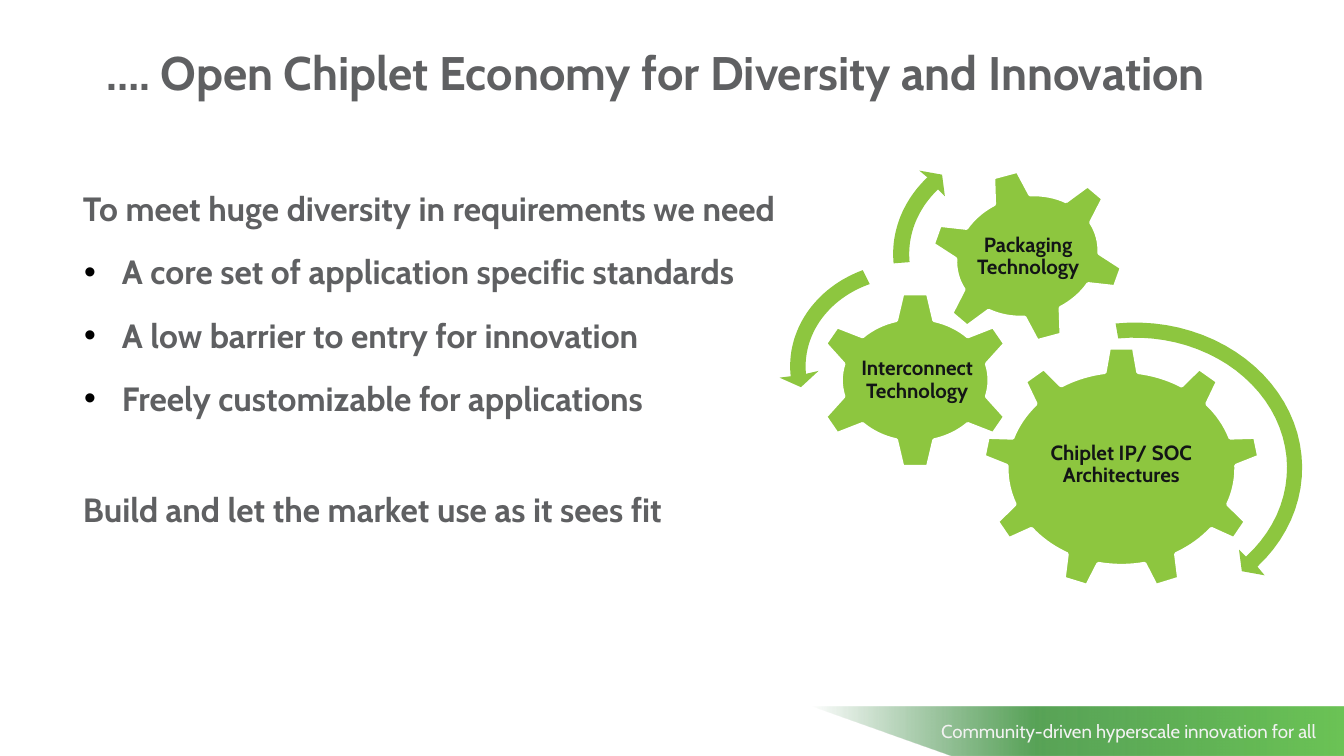
import math
from lxml import etree
from pptx import Presentation
from pptx.dml.color import RGBColor
from pptx.enum.shapes import MSO_SHAPE
from pptx.enum.text import MSO_ANCHOR, MSO_AUTO_SIZE, PP_ALIGN
from pptx.oxml.ns import qn
from pptx.util import Pt

LEFT, CENTER, RIGHT = PP_ALIGN.LEFT, PP_ALIGN.CENTER, PP_ALIGN.RIGHT
TOP, MIDDLE = MSO_ANCHOR.TOP, MSO_ANCHOR.MIDDLE
GEAR_6, GEAR_9 = MSO_SHAPE.GEAR_6, MSO_SHAPE.GEAR_9

FONT = "Cabin"
WHITE = RGBColor(0xFF, 0xFF, 0xFF)
GREY = RGBColor(0x5F, 0x60, 0x62)
INK = RGBColor(0x13, 0x15, 0x16)
GREEN = RGBColor(0x8D, 0xC6, 0x3F)
PALE = RGBColor(0xF2, 0xF2, 0xF2)

# Content (lengths in points)
TITLE = "…. Open Chiplet Economy for Diversity and Innovation"
FOOTER = "Community-driven hyperscale innovation for all"

# text, bulleted, space before
BODY = [
    ("To meet huge diversity in requirements we need", False, 0),
    ("A core set of application specific standards", True, 8),
    ("A low barrier to entry for innovation", True, 8),
    ("Freely customizable for applications", True, 8),
    ("Build and let the market use as it sees fit", False, 33.5),
]

# preset, frame, rotation, label, label frame
GEARS = [
    (GEAR_9, (526.3, 185.8, 149, 130.3), 0,
     "Chiplet IP/ SOC Architectures", (555.8, 216, 89.3, 67)),
    (GEAR_6, (436.3, 156.2, 108, 95), 0,
     "Interconnect Technology", (460.1, 180.7, 61.9, 46.8)),
    (GEAR_6, (497.5, 90.7, 105.8, 92.9), -15,
     "Packaging Technology", (520.6, 111.6, 59.8, 52.6)),
]

# centre, outer radii, band width, outer start and end, head, inner end and start
ARROWS = [
    ((608, 250.6), (89.6, 77.8), 8.1, (597.6, 172.8), (673.9, 303.8),
     [(677.5, 308.2), (665.3, 306), (663.8, 294.5)], (667.4, 298.1), (599, 180.7)),
    ((486.7, 196.2), (63.4, 55.8), 8.3, (462.2, 144.7), (423.4, 201.6),
     [(417.6, 202.3), (429.1, 207.4), (438.5, 198.7)], (432.7, 200.2), (465.8, 151.9)),
    ((547.6, 136.1), (69.1, 60.5), 8.6, (478.8, 141.1), (496.8, 95),
     [(492.5, 91.4), (504.7, 93.6), (506.2, 105.1)], (502.6, 101.5), (488.2, 140.4)),
]

BAND = [(434.9, 378.4), (720, 378.4), (720, 405), (637.2, 405), (509.8, 405)]
# position %, colour, opacity %
BAND_STOPS = [(0, "0F691F", 0), (42, "308D2F", 80), (99, "5CBD44", 90)]


def frame_text(sp, anchor, insets):
    tf = sp.text_frame
    tf.word_wrap = True
    tf.auto_size = MSO_AUTO_SIZE.NONE
    tf.vertical_anchor = anchor
    (tf.margin_left, tf.margin_top,
     tf.margin_right, tf.margin_bottom) = map(Pt, insets)
    return tf


def write(p, text, size, color, bold, align=LEFT, spacing=1.0):
    p.alignment = align
    p.line_spacing = spacing
    r = p.add_run()
    r.text = text
    r.font.name = FONT
    r.font.size = Pt(size)
    r.font.bold = bold
    r.font.color.rgb = color


def textbox(s, frame, anchor=TOP, insets=(7.2, 3.6, 7.2, 3.6)):
    return frame_text(s.shapes.add_textbox(*map(Pt, frame)), anchor, insets)


def outline(s, points):
    fb = s.shapes.build_freeform(Pt(points[0][0]), Pt(points[0][1]))
    fb.add_line_segments([(Pt(x), Pt(y)) for x, y in points[1:]], close=True)
    sp = fb.convert_to_shape()
    sp.shadow.inherit = False
    sp.line.fill.background()
    return sp


def arc(center, radii, start, end, steps=32):
    (cx, cy), (rx, ry) = center, radii
    a, b = (math.atan2((y - cy) / ry, (x - cx) / rx) for x, y in (start, end))
    sweep = (b - a + math.pi) % (2 * math.pi) - math.pi
    angles = [a + sweep * i / steps for i in range(steps + 1)]
    return [(cx + rx * math.cos(t), cy + ry * math.sin(t)) for t in angles]


def set_indent(p, bulleted):
    pPr = p._p.get_or_add_pPr()
    pPr.set("marL", str(Pt(28.1 if bulleted else 7.2)))
    pPr.set("indent", str(Pt(-20.2 if bulleted else 0)))
    if bulleted:
        color = etree.SubElement(pPr, qn("a:buClr"))
        etree.SubElement(color, qn("a:srgbClr"), val="000000")
        etree.SubElement(pPr, qn("a:buFont"), typeface="Arial")
        etree.SubElement(pPr, qn("a:buChar"), char="•")
    else:
        etree.SubElement(pPr, qn("a:buNone"))


def fade(sp, stops):
    sp.fill.gradient()
    sp.fill.gradient_angle = 0
    gs_list = sp._element.spPr.find(qn("a:gradFill")).find(qn("a:gsLst"))
    for gs in list(gs_list):
        gs_list.remove(gs)
    for pos, color, alpha in stops:
        gs = etree.SubElement(gs_list, qn("a:gs"), pos=str(pos * 1000))
        clr = etree.SubElement(gs, qn("a:srgbClr"), val=color)
        etree.SubElement(clr, qn("a:alpha"), val=str(alpha * 1000))


def main():
    prs = Presentation()
    prs.slide_width, prs.slide_height = Pt(720), Pt(405)
    s = prs.slides.add_slide(prs.slide_layouts[5])

    # Footer band
    fade(outline(s, BAND), BAND_STOPS)
    tf = textbox(s, (458.6, 382.3, 253.4, 19.4))
    write(tf.paragraphs[0], FOOTER, 10, PALE, False, RIGHT)

    # Title
    title = s.shapes.title
    title.left, title.top, title.width, title.height = map(Pt, (49.7, 12.2, 620.6, 56.2))
    tf = frame_text(title, MIDDLE, (7.2, 3.6, 7.2, 3.6))
    write(tf.paragraphs[0], TITLE, 25.2, GREY, True, spacing=0.9)

    # Body
    tf = textbox(s, (30.2, 92.9, 444.2, 221.8))
    for i, (text, bulleted, before) in enumerate(BODY):
        p = tf.add_paragraph() if i else tf.paragraphs[0]
        set_indent(p, bulleted)
        p.space_before = Pt(before)
        write(p, text, 18, GREY, True, spacing=1.2)

    # Gears and their labels
    for preset, frame, rotation, label, label_frame in GEARS:
        sp = s.shapes.add_shape(preset, *map(Pt, frame))
        sp.rotation = rotation
        sp.shadow.inherit = False
        sp.fill.solid()
        sp.fill.fore_color.rgb = GREEN
        sp.line.color.rgb = WHITE
        sp.line.width = Pt(2)
        tf = textbox(s, label_frame, MIDDLE, (0.7, 0, 0, 0.7))
        write(tf.paragraphs[0], label, 11, INK, True, CENTER, 0.9)

    # Curved arrows around the gears
    for center, radii, band, start, end, head, in_end, in_start in ARROWS:
        inner = [r - band for r in radii]
        sp = outline(s, arc(center, radii, start, end) + head
                     + arc(center, inner, in_end, in_start))
        sp.fill.solid()
        sp.fill.fore_color.rgb = GREEN

    prs.save("out.pptx")


if __name__ == "__main__":
    main()
